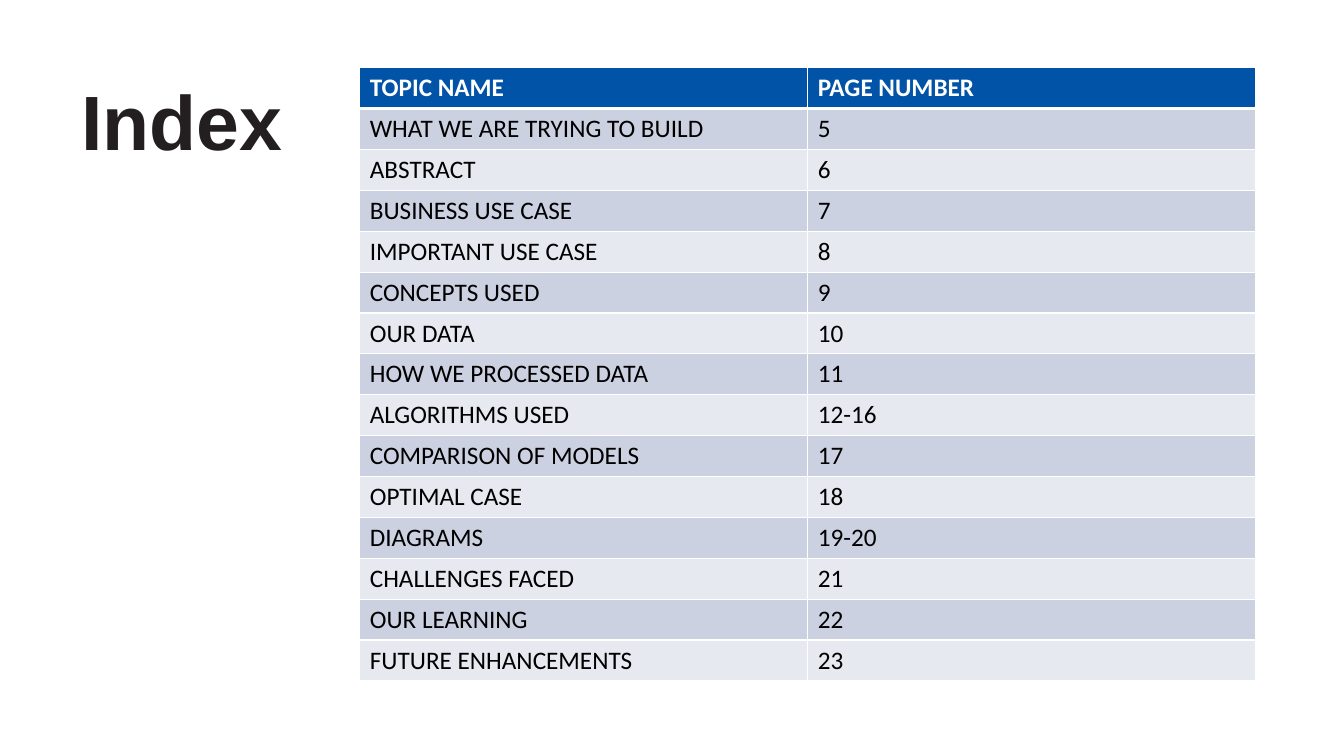
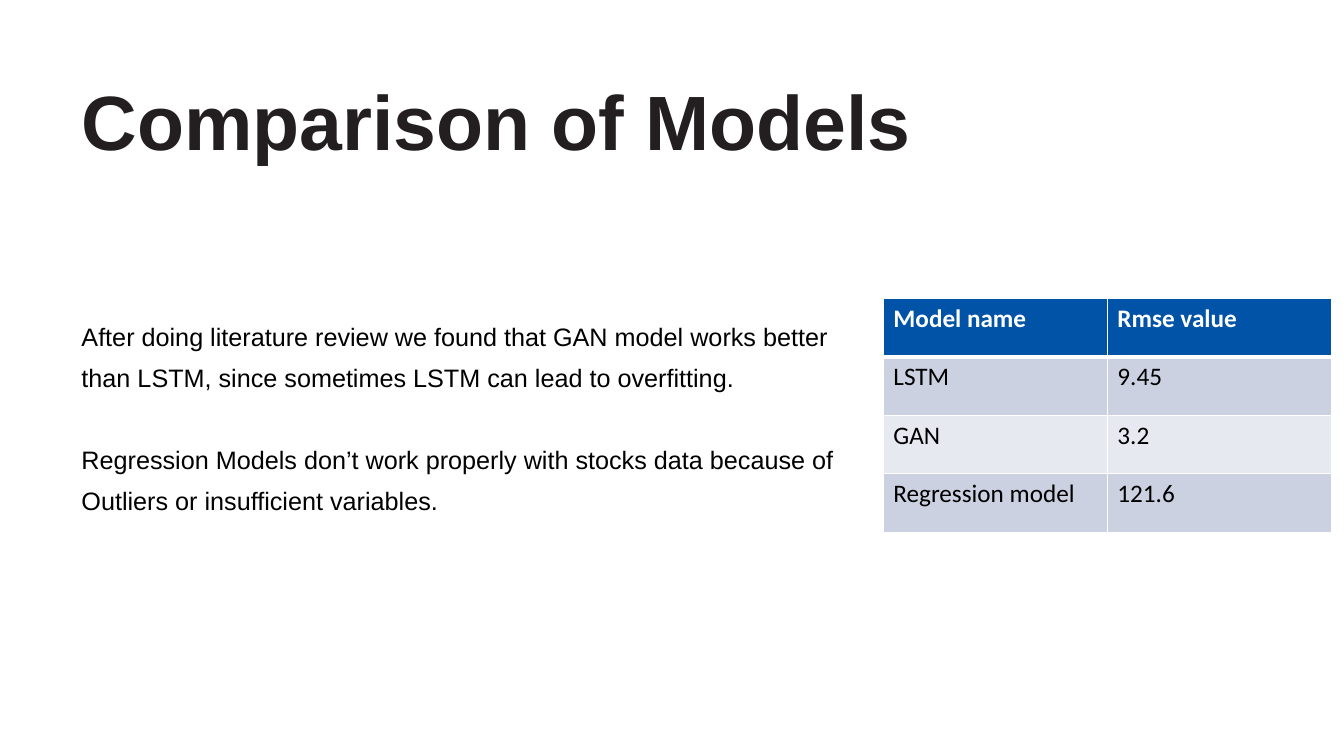
from lxml.etree import SubElement
from pptx import Presentation
from pptx.dml.color import RGBColor
from pptx.enum.text import MSO_ANCHOR as Anchor, MSO_AUTO_SIZE as AutoSize, PP_ALIGN as Align
from pptx.oxml.ns import qn
from pptx.util import Pt

WHITE, BLACK, INK = "FFFFFF", "000000", "231F20"
HEADER_FILL, BAND_FILLS = "0053A6", ("CCD1E1", "E7E9F1")
LEFT_MARGIN = 51
TITLE_ONLY, TITLE_AND_BODY = 5, 1

INDEX_ROWS = [
    ("TOPIC NAME", "PAGE NUMBER"),
    ("WHAT WE ARE TRYING TO BUILD", "5"),
    ("ABSTRACT", "6"),
    ("BUSINESS USE CASE", "7"),
    ("IMPORTANT USE CASE", "8"),
    ("CONCEPTS USED", "9"),
    ("OUR DATA", "10"),
    ("HOW WE PROCESSED DATA", "11"),
    ("ALGORITHMS USED", "12-16"),
    ("COMPARISON OF MODELS", "17"),
    ("OPTIMAL CASE", "18"),
    ("DIAGRAMS", "19-20"),
    ("CHALLENGES FACED", "21"),
    ("OUR LEARNING", "22"),
    ("FUTURE ENHANCEMENTS", "23"),
]
MODEL_ROWS = [
    ("Model name", "Rmse value"),
    ("LSTM", "9.45"),
    ("GAN", "3.2"),
    ("Regression model", "121.6"),
]
FINDINGS = [
    "After doing literature review we found that GAN model works better "
    "than LSTM, since sometimes LSTM can lead to overfitting.",
    "Regression Models don’t work properly with stocks data because of "
    "Outliers or insufficient variables.",
]


def color(value):
    return RGBColor.from_string(value)


def set_font(para, name, size, value, bold=False):
    font = para.font
    font.name, font.size, font.bold = name, Pt(size), bold
    font.color.rgb = color(value)


def place(box, left, top, width, height):
    box.left, box.top, box.width, box.height = map(Pt, (left, top, width, height))


def add_slide(deck, layout, title, title_width):
    slide = deck.slides.add_slide(deck.slide_layouts[layout])
    box = slide.shapes.title
    place(box, LEFT_MARGIN, 54, title_width, 68.4)
    frame = box.text_frame
    frame.text = title
    frame.auto_size = AutoSize.NONE
    frame.vertical_anchor = Anchor.MIDDLE
    frame.margin_top = Pt(7.2)
    para = frame.paragraphs[0]
    para.alignment, para.line_spacing = Align.LEFT, 0.9
    set_font(para, "Arial", 55, INK, bold=True)
    return slide


def fill_body(box, texts):
    place(box, LEFT_MARGIN, 218, 563, 160)
    frame = box.text_frame
    frame.auto_size = AutoSize.NONE
    frame.vertical_anchor = Anchor.TOP
    frame.text = "\n".join(texts)
    line_pitch = Pt(29.4)
    for number, para in enumerate(frame.paragraphs):
        para.alignment, para.line_spacing = Align.LEFT, line_pitch
        para.space_before = line_pitch if number else Pt(0)
        set_font(para, "Arial", 18, BLACK)
        properties = para._p.get_or_add_pPr()
        properties.set("marL", "0")
        properties.set("indent", "0")
        SubElement(properties, qn("a:buNone")).getparent()
        bullet = properties.find(qn("a:buNone"))
        properties.find(qn("a:defRPr")).addprevious(bullet)


def add_borders(cell, top, bottom):
    properties = cell._tc.get_or_add_tcPr()
    for side, width in (("L", 1), ("R", 1), ("T", top), ("B", bottom)):
        line = SubElement(properties, qn(f"a:ln{side}"), w=str(Pt(width)))
        fill = SubElement(line, qn("a:solidFill"))
        SubElement(fill, qn("a:srgbClr"), val=WHITE)


def add_banded_table(slide, rows, left, top, column_width, row_height):
    columns = len(rows[0])
    table = slide.shapes.add_table(
        len(rows), columns, Pt(left), Pt(top),
        Pt(column_width * columns), Pt(row_height * len(rows))).table
    table.horz_banding = False
    for column in table.columns:
        column.width = Pt(column_width)
    for number, texts in enumerate(rows):
        table.rows[number].height = Pt(row_height)
        header = number == 0
        for cell, text in zip(table.rows[number].cells, texts):
            cell.text = text
            set_font(cell.text_frame.paragraphs[0], "Calibri", 18,
                     WHITE if header else BLACK, bold=header)
            add_borders(cell, 3 if number == 1 else 1, 3 if header else 1)
            cell.fill.solid()
            cell.fill.fore_color.rgb = color(
                HEADER_FILL if header else BAND_FILLS[(number - 1) % 2])


def main():
    deck = Presentation()
    deck.slide_width, deck.slide_height = Pt(960), Pt(540)

    index = add_slide(deck, TITLE_ONLY, "Index", 200)
    add_banded_table(index, INDEX_ROWS, 257, 48.4, 320, 29.2)

    comparison = add_slide(deck, TITLE_AND_BODY, "Comparison of Models", 687)
    fill_body(comparison.placeholders[1], FINDINGS)
    add_banded_table(comparison, MODEL_ROWS, 631, 213, 160, 41.8)

    deck.save("out.pptx")


if __name__ == "__main__":
    main()
